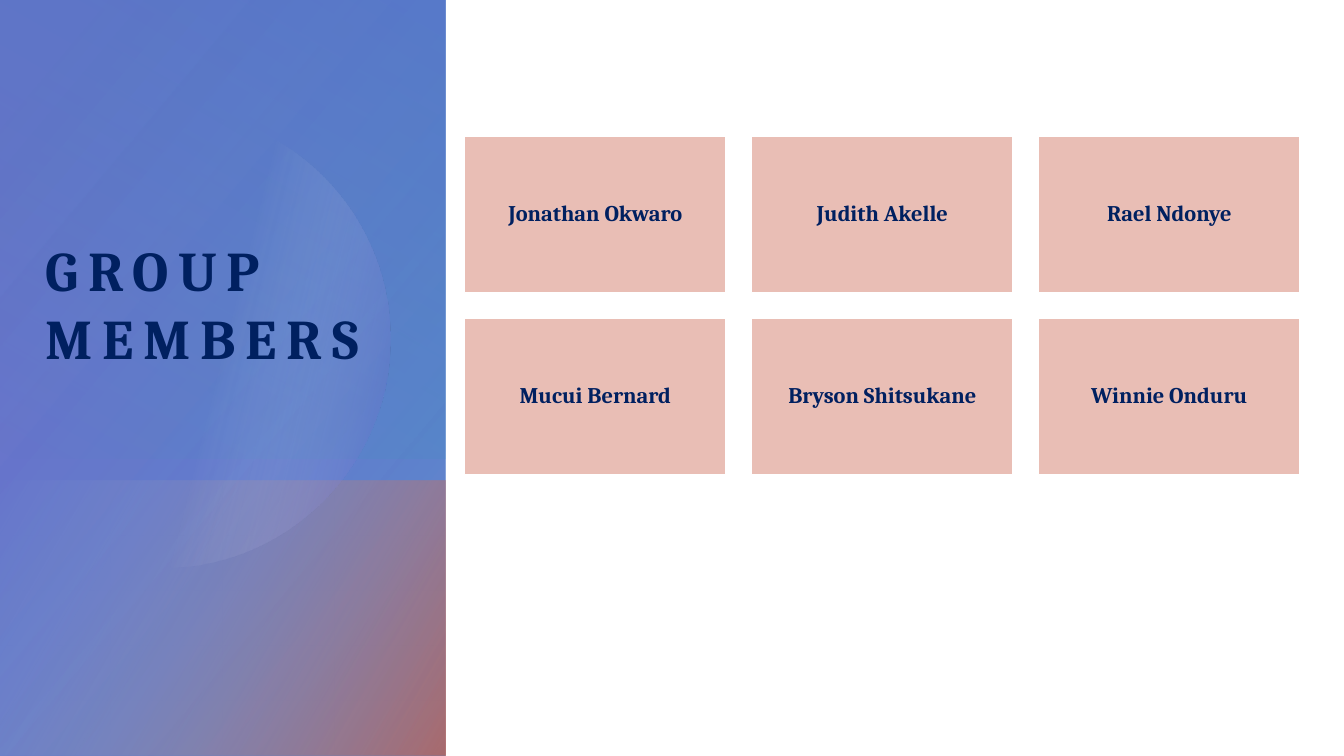
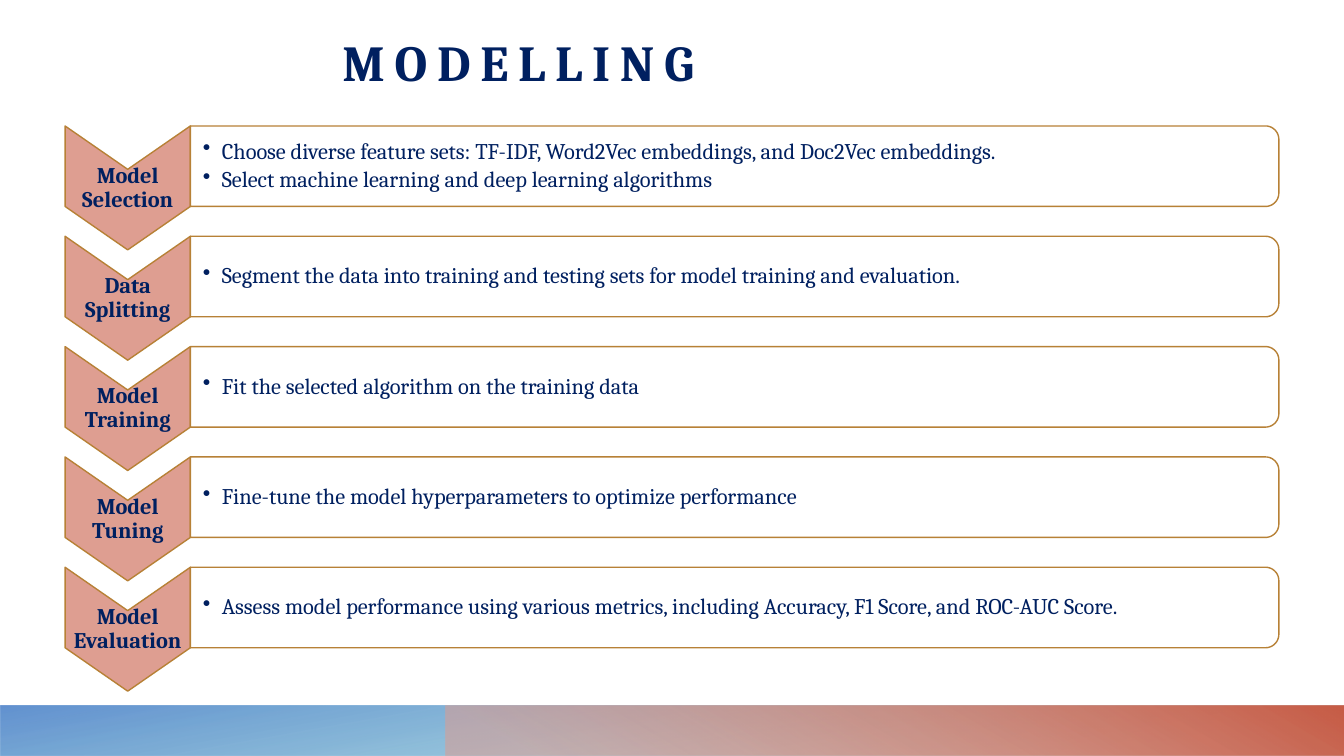
from math import acos, cos, degrees, radians, sin

from pptx import Presentation
from pptx.dml.color import RGBColor
from pptx.enum.shapes import MSO_SHAPE as SHAPE
from pptx.enum.text import MSO_ANCHOR as ANCHOR, PP_ALIGN as ALIGN
from pptx.oxml.ns import qn
from pptx.util import Pt

FONT = "Cambria"
NAVY = RGBColor(0x00, 0x20, 0x60)
WHITE = RGBColor(0xFF, 0xFF, 0xFF)
BLUSH = RGBColor(0xE9, 0xBE, 0xB5)
ROSE = RGBColor(0xDE, 0x9E, 0x91)
BRICK = RGBColor(0xC8, 0x5D, 0x47)
OCHRE = RGBColor(0xB7, 0x81, 0x36)
INDIGO = RGBColor(0x45, 0x46, 0xBC)
BLUE = RGBColor(0x47, 0x7E, 0xC8)
SKY = RGBColor(0x91, 0xB2, 0xDE)
TEAL = RGBColor(0x36, 0xA2, 0xB7)

MEMBERS = [
    ["Jonathan Okwaro", "Judith Akelle", "Rael Ndonye"],
    ["Mucui Bernard", "Bryson Shitsukane", "Winnie Onduru"],
]
STEPS = [
    ("Model Selection", [
        "Choose diverse feature sets: TF-IDF, Word2Vec embeddings, and Doc2Vec embeddings.",
        "Select machine learning and deep learning algorithms",
    ]),
    ("Data Splitting", [
        "Segment the data into training and testing sets for model training and evaluation.",
    ]),
    ("Model Training", ["Fit the selected algorithm on the training data"]),
    ("Model Tuning", ["Fine-tune the model hyperparameters to optimize performance"]),
    ("Model Evaluation", [
        "Assess model performance using various metrics, including Accuracy, F1 Score, and ROC-AUC Score.",
    ]),
]

# Bands: box, rotation, clockwise gradient angle, stops (position %, colour, opacity %)
SIDE_PANEL = [
    ((-111, 111, 540, 318), 270, 50, [(8, INDIGO, 78), (100, BLUE, 89)]),
    ((-5, 4.5, 328, 318), 90, 150, [(0, BLUE, 47), (100, TEAL, 0)]),
    ((60.5, 282.5, 197, 318), 270, 60, [(0, SKY, 0), (99, BRICK, 70)]),
]
FOOTER = [
    ((0, 504, 960, 36), 180, 100, [(14, TEAL, 28), (100, BLUE, 85)]),
    ((318, 504, 642, 36), 0, 240, [(9, ROSE, 55), (99, BRICK, 100)]),
]


def points(values):
    return [Pt(v) for v in values]


def set_attrs(obj, **values):
    for name, value in values.items():
        setattr(obj, name, value)


def style(sp, fill=None, line=None):
    sp.shadow.inherit = False
    if fill is not None:
        sp.fill.solid()
        sp.fill.fore_color.rgb = fill
    if line is None:
        sp.line.fill.background()
    else:
        sp.line.color.rgb = line
        sp.line.width = Pt(1)


def fill_gradient(sp, angle, stops):
    style(sp)
    sp.fill.gradient()
    sp.fill.gradient_angle = 360 - angle
    for gs, (position, color, _) in zip(sp.fill.gradient_stops, stops):
        gs.position = position / 100
        gs.color.rgb = color
    colors = list(sp._element.spPr.iter(qn("a:srgbClr")))
    for clr, (_, _, opacity) in zip(colors, stops):
        clr.makeelement(qn("a:alpha"), {})
        alpha = clr.makeelement(qn("a:alpha"), {"val": str(opacity * 1000)})
        clr.append(alpha)


def add_bands(slide, bands):
    for box, rotation, angle, stops in bands:
        sp = slide.shapes.add_shape(SHAPE.RECTANGLE, *points(box))
        sp.rotation = rotation
        sp._element.spPr.get_or_add_xfrm().set("flipH", "1")
        fill_gradient(sp, angle, stops)


def add_outline(slide, corners):
    start, *rest = [points(c) for c in corners]
    builder = slide.shapes.build_freeform(*start)
    builder.add_line_segments(rest, close=True)
    return builder.convert_to_shape()


def arc(cx, cy, radius, start, end, steps):
    """Points on an arc, with angles in degrees clockwise from the right."""
    angles = [radians(start + (end - start) * i / steps) for i in range(steps + 1)]
    return [(cx + radius * cos(a), cy + radius * sin(a)) for a in angles]


def write(sp, lines, size=16, bold=True, align=ALIGN.CENTER, anchor=ANCHOR.MIDDLE,
          insets=(5, 5, 5, 5), spacing=0.9, tracking=0, bullets=False):
    """Fill a shape with text; insets run left, top, right, bottom."""
    tf = sp.text_frame
    left, top, right, bottom = points(insets)
    set_attrs(tf, word_wrap=True, vertical_anchor=anchor, margin_left=left,
              margin_top=top, margin_right=right, margin_bottom=bottom)
    for i, line in enumerate(lines):
        p = tf.add_paragraph() if i else tf.paragraphs[0]
        set_attrs(p, alignment=align, line_spacing=spacing)
        r = p.add_run()
        r.text = line
        set_attrs(r.font, name=FONT, size=Pt(size), bold=bold)
        r.font.color.rgb = NAVY
        if tracking:
            r._r.get_or_add_rPr().set("spc", str(tracking * 100))
        if bullets:
            p.space_after = Pt(3)
            pPr = p._p.get_or_add_pPr()
            pPr.set("marL", str(Pt(13.5)))
            pPr.set("indent", str(-Pt(13.5)))
            pPr.append(pPr.makeelement(qn("a:buChar"), {"char": "•"}))


def add_title(slide, text, box, size, align):
    write(slide.shapes.add_textbox(*points(box)), [text], size=size, align=align,
          anchor=ANCHOR.BOTTOM, insets=(0, 0, 0, 0), spacing=1.0, tracking=7)


def build_members(slide):
    add_bands(slide, SIDE_PANEL)
    cx, cy, radius = 115, 242, 163.5
    cut = degrees(acos(-cx / radius))  # where the circle meets the slide edge
    disc = add_outline(slide, arc(cx, cy, radius, -cut, cut, 90))
    fill_gradient(disc, 14, [(56, WHITE, 0), (100, INDIGO, 35)])
    add_title(slide, "GROUP MEMBERS", (32.5, 46, 256, 218.5), 40, ALIGN.LEFT)

    left, top, width, height, gap = 332, 97.5, 186.5, 111.5, 18.5
    for row, names in enumerate(MEMBERS):
        for col, name in enumerate(names):
            box = (left + col * (width + gap), top + row * (height + gap), width, height)
            card = slide.shapes.add_shape(SHAPE.RECTANGLE, *points(box))
            style(card, BLUSH, WHITE)
            write(card, [name])


def build_modelling(slide):
    add_bands(slide, FOOTER)
    add_title(slide, "MODELLING", (27.5, 18.5, 685.5, 47), 36, ALIGN.CENTER)

    left, middle, right = 46.5, 136, 913.5
    first_top, pitch, height, notch, radius = 90, 78.8, 57.5, 31, 9.5
    tip = (left + middle) / 2
    for i, (step, details) in enumerate(STEPS):
        top = first_top + i * pitch
        bottom = top + height
        chevron = add_outline(slide, [
            (left, top), (tip, top + notch), (middle, top),
            (middle, bottom), (tip, bottom + notch), (left, bottom)])
        style(chevron, ROSE, OCHRE)
        write(chevron, [step], insets=(1, notch, 1, notch))

        panel = add_outline(slide, [
            (middle, top),
            *arc(right - radius, top + radius, radius, -90, 0, 12),
            *arc(right - radius, bottom - radius, radius, 0, 90, 12),
            (middle, bottom)])
        style(panel, WHITE, OCHRE)
        write(panel, details, bold=False, align=ALIGN.LEFT,
              insets=(9, 3.5, 3.5, 3.5), bullets=True)


def main():
    prs = Presentation()
    set_attrs(prs, slide_width=Pt(960), slide_height=Pt(540))
    for build in (build_members, build_modelling):
        build(prs.slides.add_slide(prs.slide_layouts[6]))
    prs.save("out.pptx")


if __name__ == "__main__":
    main()
